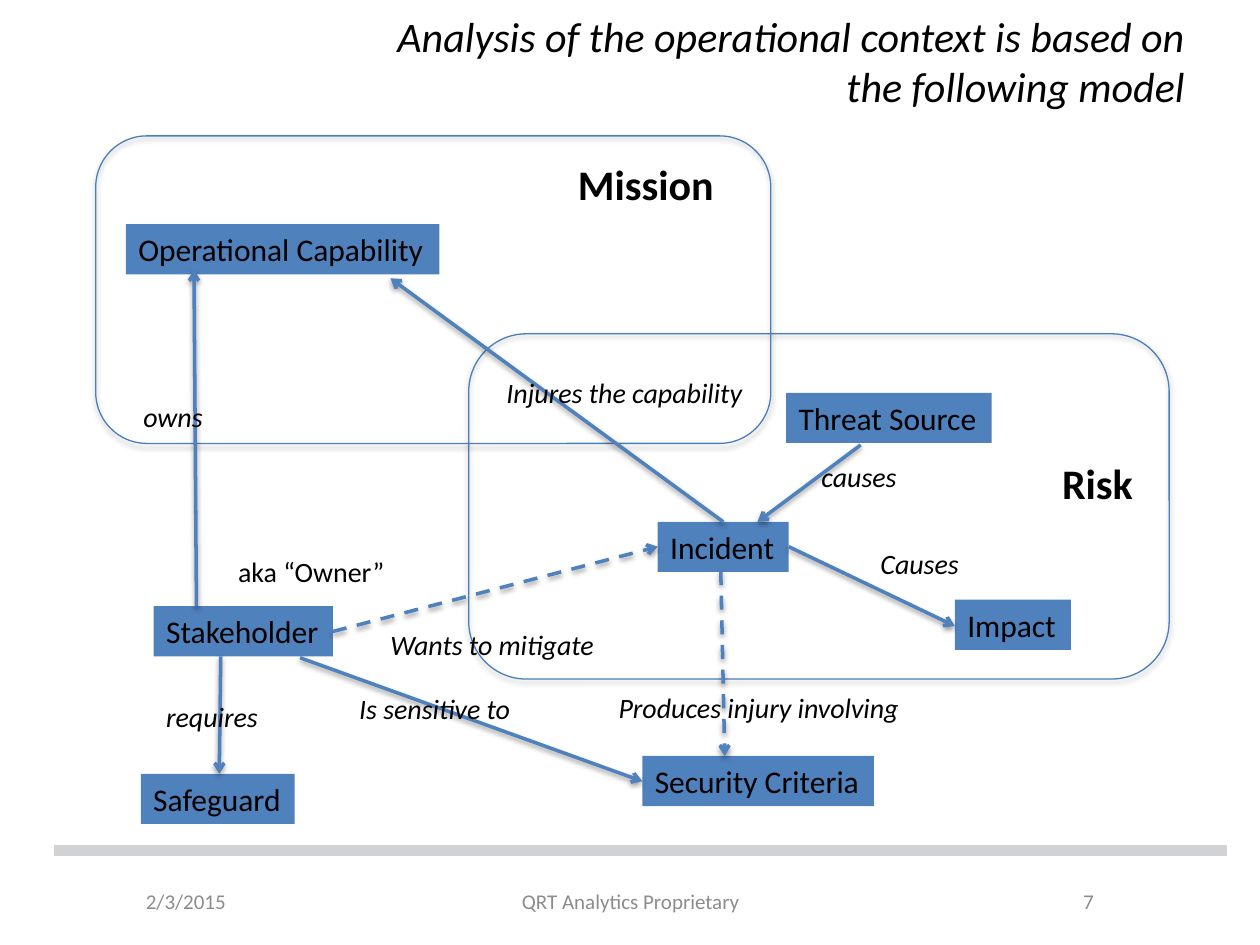
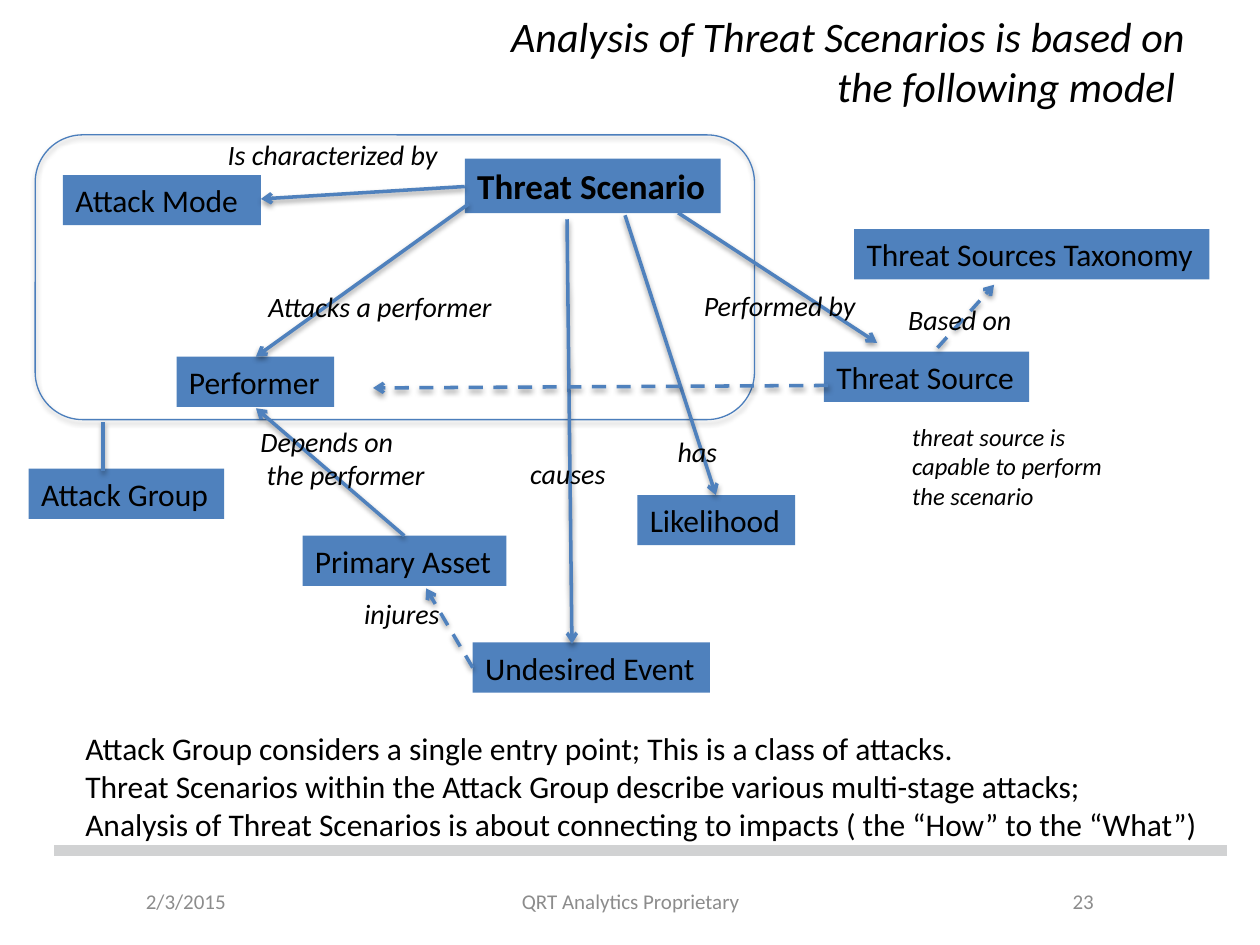
from lxml import etree
from pptx import Presentation
from pptx.dml.color import RGBColor
from pptx.enum.dml import MSO_LINE
from pptx.enum.shapes import MSO_CONNECTOR, MSO_SHAPE
from pptx.enum.text import MSO_ANCHOR, MSO_AUTO_SIZE, PP_ALIGN
from pptx.oxml.ns import qn
from pptx.util import Cm, Pt

LEFT, CENTER, RIGHT = PP_ALIGN.LEFT, PP_ALIGN.CENTER, PP_ALIGN.RIGHT
MIDDLE = MSO_ANCHOR.MIDDLE
FIT = MSO_AUTO_SIZE.SHAPE_TO_FIT_TEXT
STRAIGHT = MSO_CONNECTOR.STRAIGHT
ROUNDED = MSO_SHAPE.ROUNDED_RECTANGLE
DASH = MSO_LINE.DASH

FONT = "Calibri"
BLACK, GREY, BAND = "000000", "8C8C8C", "D1D2D3"
BLUE, ZONE_BLUE = "4F81BD", "4B7EBC"
LINE_CM = 1.2 * 2.54 / 72  # line height in cm for each point of text size
FOOTER_TOP, FOOTER_HEIGHT = 17.65, 1.02


def color(value):
    return RGBColor.from_string(value)


def add_effects(shape, shadow_alpha=None):
    """Replace the theme effects with a soft downward shadow, or with none."""
    properties = shape._element.spPr
    effects = properties.find(qn("a:effectLst"))
    if effects is None:
        effects = etree.SubElement(properties, qn("a:effectLst"))
    if shadow_alpha:
        shadow = etree.SubElement(effects, qn("a:outerShdw"), blurRad=str(Pt(3.1)),
                                  dist=str(Pt(1.6)), dir="5400000", rotWithShape="0")
        black = etree.SubElement(shadow, qn("a:srgbClr"), val=BLACK)
        etree.SubElement(black, qn("a:alpha"), val=str(shadow_alpha * 1000))


def style_text(box, text, size, ink=BLACK, align=LEFT, bold=False, italic=False):
    box.text_frame.text = text
    for para in box.text_frame.paragraphs:
        para.alignment = align
        font = para.font
        font.name, font.size = FONT, Pt(size)
        font.bold, font.italic = bold, italic
        font.color.rgb = color(ink)


def add_frame_text(page, text, left, top, width, height, size, **style):
    """Text centred vertically in a fixed frame, as in titles and footers."""
    box = page.shapes.add_textbox(Cm(left), Cm(top), Cm(width), Cm(height))
    box.text_frame.word_wrap = True
    box.text_frame.vertical_anchor = MIDDLE
    style_text(box, text, size, **style)


def add_label(page, text, left, top, width, size=16, italic=True, bold=False):
    """Unwrapped text whose height follows from its lines."""
    lines = len(text.splitlines())
    height = lines * size * LINE_CM + 0.25
    box = page.shapes.add_textbox(Cm(left), Cm(top), Cm(width), Cm(height))
    box.text_frame.word_wrap = False
    box.text_frame.auto_size = FIT
    style_text(box, text, size, italic=italic, bold=bold)
    return box


def add_node(page, text, left, top, width, size=18, bold=False):
    box = add_label(page, text, left, top, width, size, italic=False, bold=bold)
    box.fill.solid()
    box.fill.fore_color.rgb = color(BLUE)


def add_zone(page, left, top, width, height):
    zone = page.shapes.add_shape(ROUNDED, Cm(left), Cm(top), Cm(width), Cm(height))
    zone.shadow.inherit = False
    zone.fill.background()
    zone.line.color.rgb = color(ZONE_BLUE)
    zone.line.width = Pt(0.75)
    add_effects(zone, 35)


def add_line(page, x1, y1, x2, y2, ink, width):
    line = page.shapes.add_connector(STRAIGHT, Cm(x1), Cm(y1), Cm(x2), Cm(y2))
    line.line.color.rgb = color(ink)
    line.line.width = Pt(width)
    return line


def add_relation(page, x1, y1, x2, y2, dashed=False, arrow=True):
    relation = add_line(page, x1, y1, x2, y2, BLUE, 2)
    if dashed:
        relation.line.dash_style = DASH
    if arrow:
        outline = relation._element.spPr.find(qn("a:ln"))
        etree.SubElement(outline, qn("a:tailEnd"), type="arrow")
    add_effects(relation, 38)


def add_page(deck, title, number):
    """Blank slide with the shared footer, band and title."""
    page = deck.slides.add_slide(deck.slide_layouts[6])
    for text, left, width, align in (
        ("2/3/2015", 2.69, 4.5, LEFT),
        (number, 18.21, 4.09, RIGHT),
        ("QRT Analytics Proprietary", 8.69, 8.05, CENTER),
    ):
        add_frame_text(page, text, left, FOOTER_TOP, width, FOOTER_HEIGHT, 12,
                       ink=GREY, align=align)
    add_effects(add_line(page, 1.09, 17.15, 24.74, 17.15, BAND, 6))
    add_frame_text(page, title, 1.27, 0.53, 22.86, 1.4, 24, align=RIGHT, italic=True)
    return page


def add_diagram(page, nodes, zones, relations, dashed_relations, labels):
    for node in nodes:
        add_node(page, *node)
    for zone in zones:
        add_zone(page, *zone)
    for relation in relations:
        add_relation(page, *relation)
    for relation in dashed_relations:
        add_relation(page, *relation, dashed=True)
    for label in labels:
        add_label(page, *label)


def build_operational_context(deck):
    page = add_page(
        deck, "Analysis of the operational context is based on\vthe following model", "7")
    add_diagram(
        page,
        nodes=[
            ("Operational Capability", 2.54, 4.52, 6.32),
            ("Stakeholder", 3.1, 12.22, 3.61),
            ("Incident", 13.26, 10.52, 2.64),
            ("Impact", 19.25, 12.09, 2.34),
            ("Safeguard", 2.84, 15.6, 3.1),
            ("Security Criteria", 12.95, 15.24, 4.67),
            ("Threat Source", 15.85, 7.92, 4.14),
        ],
        zones=[(9.45, 6.73, 14.12, 6.96), (1.93, 2.74, 13.61, 6.2)],
        relations=[
            (3.96, 12.22, 3.91, 5.44),
            (14.58, 10.52, 7.87, 5.61),
            (15.9, 11.02, 19.25, 12.62),
            (4.45, 13.23, 4.42, 15.6),
            (6.05, 13.26, 12.95, 15.75),
            (17.35, 8.97, 15.27, 10.52),
        ],
        dashed_relations=[
            (6.71, 12.73, 13.26, 11.02),
            (14.53, 11.51, 14.61, 15.24),
        ],
        labels=[
            ("owns", 2.64, 7.92, 1.85),
            ("Injures the capability", 9.96, 7.44, 5.46),
            ("Causes", 17.5, 10.9, 2.26),
            ("Wants to mitigate", 7.62, 12.52, 4.8),
            ("requires", 3.1, 13.97, 2.51),
            ("Is sensitive to", 6.99, 13.82, 3.73),
            ("Produces injury involving", 12.22, 13.79, 6.38),
            ("causes", 16.31, 9.14, 2.18),
        ],
    )
    # Zone names and the note on the stakeholder
    add_label(page, "Risk", 21.16, 9.09, 1.96, 24, italic=False, bold=True)
    add_label(page, "Mission", 11.4, 3.07, 3.28, 24, italic=False, bold=True)
    add_label(page, "aka “Owner”", 4.55, 11.05, 3.51, italic=False)


def build_threat_scenarios(deck):
    page = add_page(
        deck, "Analysis of Threat Scenarios is based on\vthe following model ", "23")
    add_diagram(
        page,
        nodes=[
            ("Threat Scenario", 9.37, 3.2, 5.16, 20, True),
            ("Performer", 3.56, 7.19, 3.18),
            ("Undesired Event", 9.53, 12.95, 4.78),
            ("Threat Source", 16.61, 7.09, 4.14),
            ("Threat Sources Taxonomy", 17.22, 4.62, 7.16),
            ("Primary Asset", 6.1, 10.8, 4.11),
            ("Likelihood", 12.85, 9.98, 3.18),
            ("Attack Mode", 1.27, 3.53, 3.99),
            ("Attack Group", 0.58, 9.45, 3.94),
        ],
        zones=[(0.71, 2.72, 14.5, 5.74)],
        relations=[
            (9.45, 4.11, 5.16, 7.19),
            (13.67, 4.29, 17.68, 6.91),
            (11.43, 4.42, 11.53, 12.98),
            (12.6, 4.34, 14.43, 9.98),
            (8.15, 10.8, 5.16, 8.23),
            (9.37, 3.76, 5.26, 4.01),
        ],
        dashed_relations=[
            (16.69, 7.77, 7.52, 7.82),
            (18.9, 7.01, 20.04, 5.74),
            (9.53, 13.46, 8.59, 11.86),
        ],
        labels=[
            ("Attacks a performer", 5.16, 5.72, 5.23),
            ("Performed by", 13.94, 5.69, 3.73),
            ("Based on", 18.06, 5.97, 2.74),
            ("has", 13.41, 8.64, 1.45),
            ("causes", 10.44, 9.07, 2.18),
            ("Depends on\v the performer", 5, 8.43, 3.99),
            ("threat source is\vcapable to perform\vthe scenario", 18.14, 8.38, 4.47, 14),
            ("injures", 7.09, 11.91, 2.18),
            ("Is characterized by", 4.34, 2.64, 5.16),
        ],
    )
    # Plain link from the zone to its group
    add_relation(page, 2.08, 8.51, 2.08, 9.5, arrow=False)
    # Summary under the diagram
    summary = "\n".join((
        "Attack Group considers a single entry point; This is a class of attacks.",
        "Threat Scenarios within the Attack Group describe various multi-stage attacks;",
        "Analysis of Threat Scenarios is about connecting to impacts "
        "( the “How” to the “What”)",
    ))
    add_label(page, summary, 1.47, 14.58, 23.16, 18, italic=False)


def main():
    deck = Presentation()
    deck.slide_width, deck.slide_height = Cm(25.4), Cm(19.05)
    build_operational_context(deck)
    build_threat_scenarios(deck)
    deck.save("out.pptx")


if __name__ == "__main__":
    main()
